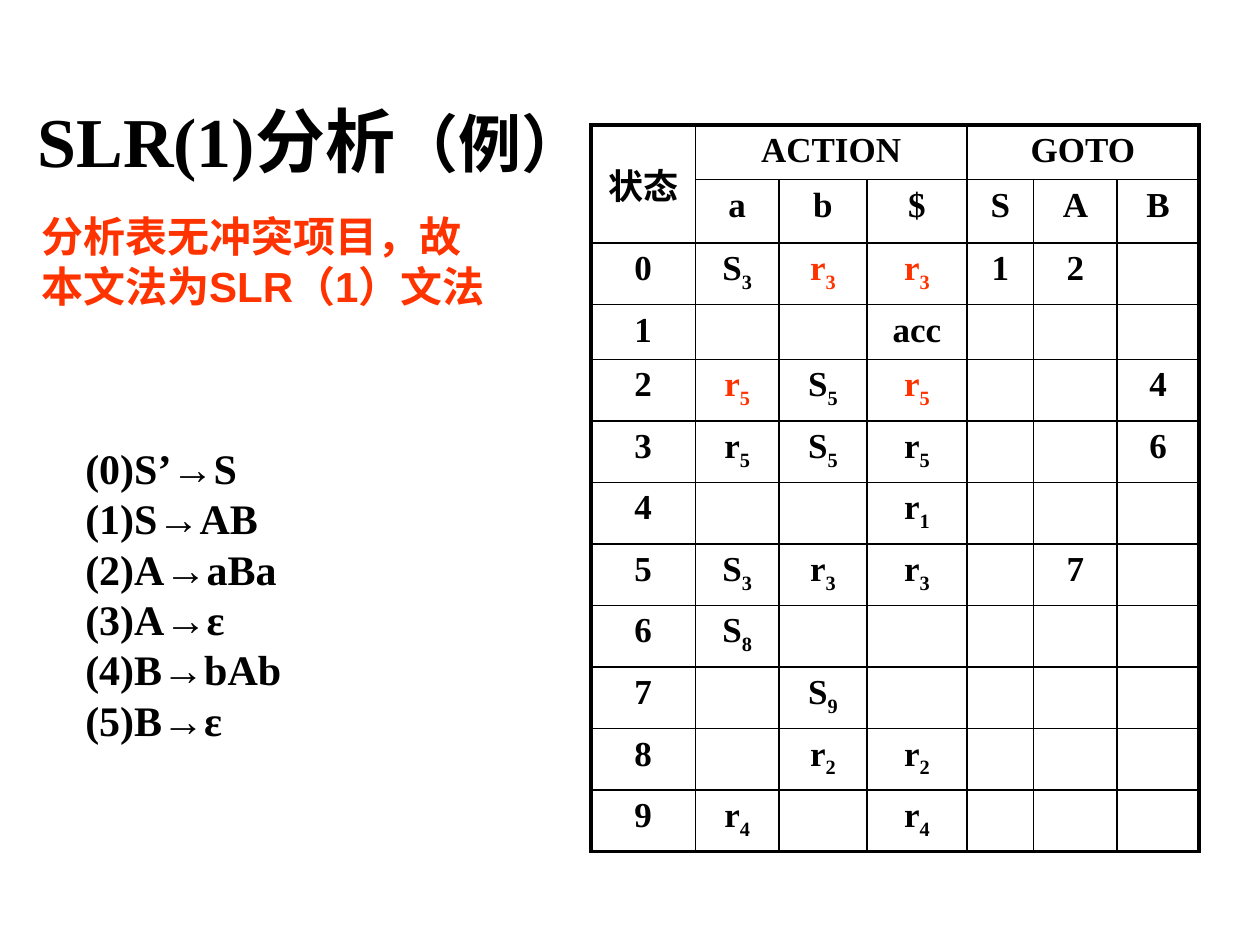
"""Build the SLR(1) analysis example slide with its ACTION/GOTO table."""
import pptx
import pptx.dml.color
import pptx.enum.text
import pptx.oxml
import pptx.util
from pptx.util import Cm, Pt

BLACK = pptx.dml.color.RGBColor(0x00, 0x00, 0x00)
RED = pptx.dml.color.RGBColor(0xFF, 0x33, 0x00)
SERIF, SANS = "Times New Roman", "Arial"
ANCHOR = pptx.enum.text.MSO_ANCHOR
CENTER = pptx.enum.text.PP_ALIGN.CENTER

TITLE = [("SLR(1)分析", 40), ("（例）", 36)]
CONCLUSION = "分析表无冲突项目，故本文法为SLR（1）文法"
PRODUCTIONS = ["(0)S’→S", "(1)S→AB", "(2)A→aBa", "(3)A→ε", "(4)B→bAb", "(5)B→ε"]
PARSING_TABLE = [
    ["状态", "ACTION", "", "", "GOTO", "", ""],
    ["", "a", "b", "$", "S", "A", "B"],
    ["0", "S3", "r3", "r3", "1", "2", ""],
    ["1", "", "", "acc", "", "", ""],
    ["2", "r5", "S5", "r5", "", "", "4"],
    ["3", "r5", "S5", "r5", "", "", "6"],
    ["4", "", "", "r1", "", "", ""],
    ["5", "S3", "r3", "r3", "", "7", ""],
    ["6", "S8", "", "", "", "", ""],
    ["7", "", "S9", "", "", "", ""],
    ["8", "", "r2", "r2", "", "", ""],
    ["9", "r4", "", "r4", "", "", ""],
]
MERGES = [((0, 0), (1, 0)), ((0, 1), (0, 3)), ((0, 4), (0, 6))]
EPSILON_REDUCTIONS = {(2, 2), (2, 3), (4, 1), (4, 3)}
COLUMN_WIDTHS = [2.11, 1.68, 1.78, 2.01, 1.35, 1.68, 1.65]
ROW_HEIGHTS = [1.09, 1.28, 1.24, 1.09] + [1.24] * 8
THIN, THICK = Pt(1), Pt(2.25)


def add_run(paragraph, text, size, face=SERIF, color=BLACK):
    run = paragraph.add_run()
    run.text = text
    run.font.size = Pt(size)
    run.font.name = face
    run.font.bold = True
    run.font.color.rgb = color
    return run


def add_frame(slide, left, top, width, height, anchor=ANCHOR.TOP):
    box = slide.shapes.add_textbox(Cm(left), Cm(top), Cm(width), Cm(height))
    box.text_frame.word_wrap = True
    box.text_frame.vertical_anchor = anchor
    return box.text_frame


def add_borders(cell, widths):
    properties = cell._tc.get_or_add_tcPr()
    for side, width in zip("LRTB", widths):
        properties.append(pptx.oxml.parse_xml(
            f'<a:ln{side} xmlns:a="http://schemas.openxmlformats.org/drawingml/2006/main"'
            f' w="{width}"><a:solidFill><a:srgbClr val="{BLACK}"/></a:solidFill></a:ln{side}>'))


def fill_entry(cell, entry, color):
    paragraph = cell.text_frame.paragraphs[0]
    paragraph.alignment = CENTER
    has_index = len(entry) == 2 and entry[0] in "Sr"
    if entry:
        add_run(paragraph, entry[0] if has_index else entry, 20, color=color)
    if has_index:
        index = add_run(paragraph, entry[1], 20, color=color)
        index.font._element.set("baseline", "-25000")


def add_parsing_table(slide):
    row_count, column_count = len(ROW_HEIGHTS), len(COLUMN_WIDTHS)
    table = slide.shapes.add_table(
        row_count, column_count, Cm(11.91), Cm(2.52),
        Cm(sum(COLUMN_WIDTHS)), Cm(sum(ROW_HEIGHTS))).table
    table.first_row = table.horz_banding = False
    for column, width in zip(table.columns, COLUMN_WIDTHS):
        column.width = Cm(width)
    for row, height in zip(table.rows, ROW_HEIGHTS):
        row.height = Cm(height)
    for first, last in MERGES:
        table.cell(*first).merge(table.cell(*last))
    for r, entries in enumerate(PARSING_TABLE):
        for c, entry in enumerate(entries):
            cell = table.cell(r, c)
            outer_edges = (c == 0, c + cell.span_width == column_count,
                           r == 0, r + cell.span_height == row_count)
            add_borders(cell, [THICK if outer else THIN for outer in outer_edges])
            cell.fill.background()
            fill_entry(cell, entry, RED if (r, c) in EPSILON_REDUCTIONS else BLACK)
    table.cell(0, 0).vertical_anchor = ANCHOR.MIDDLE


def main():
    deck = pptx.Presentation()
    deck.slide_width, deck.slide_height = Cm(25.4), Cm(19.05)
    slide = deck.slides.add_slide(deck.slide_layouts[6])

    title = add_frame(slide, 0.51, 1.73, 22.86, 2.16, ANCHOR.MIDDLE)
    for text, size in TITLE:
        add_run(title.paragraphs[0], text, size)

    add_parsing_table(slide)

    conclusion = add_frame(slide, 0.58, 4.11, 9.53, 2.31)
    add_run(conclusion.paragraphs[0], CONCLUSION, 24, SANS, RED)

    grammar = add_frame(slide, 1.47, 8.79, 7.62, 7.37)
    grammar.text = "\n".join(PRODUCTIONS)
    for paragraph, production in zip(grammar.paragraphs, PRODUCTIONS):
        paragraph.clear()
        add_run(paragraph, production, 24)

    deck.save("out.pptx")


if __name__ == "__main__":
    main()
